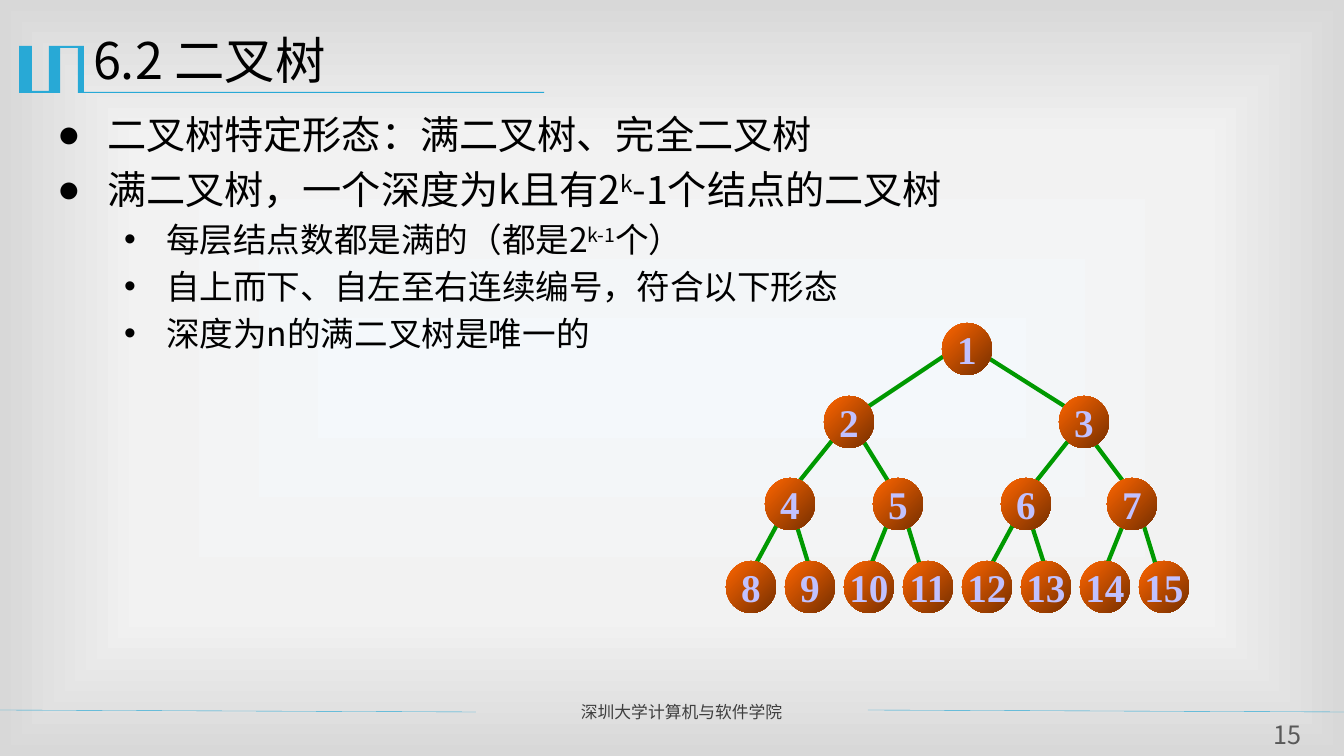
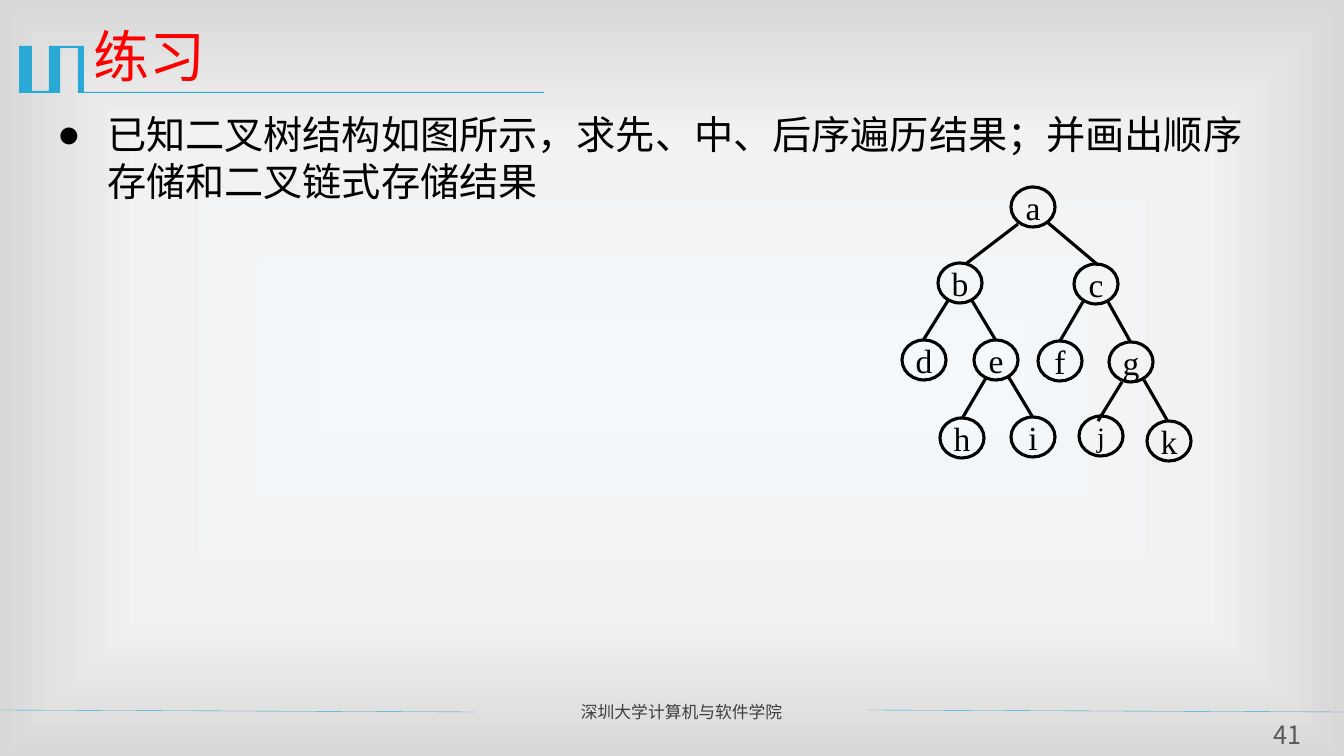
from lxml.etree import SubElement
from pptx import Presentation
from pptx.dml.color import RGBColor
from pptx.enum.shapes import MSO_CONNECTOR, MSO_SHAPE
from pptx.enum.text import MSO_ANCHOR, MSO_AUTO_SIZE, PP_ALIGN
from pptx.oxml import parse_xml
from pptx.oxml.ns import nsdecls, qn
from pptx.util import Pt

PX = 9071  # EMU in one px, 1344 px across the slide

BLACK = RGBColor(0x00, 0x00, 0x00)
RED = RGBColor(0xFF, 0x00, 0x00)
BLUE = RGBColor(0x28, 0xA9, 0xD6)
GREEN = RGBColor(0x00, 0x99, 0x00)
ORANGE = RGBColor(0xFF, 0x66, 0x00)
BROWN = RGBColor(0x76, 0x2F, 0x00)
LILAC = RGBColor(0xC1, 0xC1, 0xFF)
FOOTER_GREY = RGBColor(0x3F, 0x3F, 0x3F)
NUMBER_GREY = RGBColor(0x59, 0x59, 0x59)
PAGE_CENTRE = RGBColor(0xF4, 0xF8, 0xFB)
PAGE_MIDDLE = RGBColor(0xF2, 0xF2, 0xF2)
PAGE_EDGE = RGBColor(0xD8, 0xD8, 0xD8)

SANS = "Noto Sans CJK SC"
SERIF = "Times New Roman"


def add_run(para, text, size, color, name=SANS, bold=False, raised=False):
    run = para.add_run()
    run.text = text
    font = run.font
    font.size, font.bold, font.name = Pt(size), bold, name
    font.color.rgb = color
    properties = run._r.get_or_add_rPr()
    SubElement(properties, qn("a:ea")).set("typeface", name)
    if raised:
        properties.set("baseline", "30000")


def add_line(page, ends, color, width):
    line = page.shapes.add_connector(MSO_CONNECTOR.STRAIGHT, *[end * PX for end in ends])
    line.line.color.rgb = color
    line.line.width = Pt(width)
    SubElement(line._element.spPr, qn("a:effectLst"))
    return line


# Each list item: level, then (text, raised) runs
full_tree_items = [
    (0, [("二叉树特定形态：满二叉树、完全二叉树", False)]),
    (0, [("满二叉树，一个深度为k且有2", False), ("k", True), ("-1个结点的二叉树", False)]),
    (1, [("每层结点数都是满的（都是2", False), ("k-1", True), ("个）", False)]),
    (1, [("自上而下、自左至右连续编号，符合以下形态", False)]),
    (1, [("深度为n的满二叉树是唯一的", False)]),
]
exercise_items = [
    (0, [("已知二叉树结构如图所示，求先、中、后序遍历结果；并画出顺序存储和二叉链式存储结果", False)]),
]

# Each node: label, left, top
full_tree_nodes = [
    ("1", 942, 323),
    ("2", 824, 396), ("3", 1059, 396),
    ("4", 765, 478), ("5", 873, 478), ("6", 1001, 478), ("7", 1107, 478),
]
full_tree_nodes += [(str(8 + i), 726 + 59 * i, 561) for i in range(8)]
exercise_nodes = [
    ("a", 1011, 187),
    ("b", 938, 263), ("c", 1074, 264),
    ("d", 902, 340), ("e", 974, 340), ("f", 1038, 341), ("g", 1109, 342),
    ("h", 940, 418), ("i", 1011, 417), ("j", 1079, 416), ("k", 1147, 421),
]

# Each edge: x and y at the parent, x and y at the child
full_tree_edges = [
    (956, 348, 854, 416), (982, 354, 1080, 416),
    (835, 437, 785, 499), (854, 426, 893, 489),
    (1080, 426, 1030, 489), (1090, 437, 1129, 489),
    (785, 510, 746, 582), (795, 520, 814, 582),
    (893, 510, 864, 582), (903, 510, 922, 572),
    (1021, 510, 982, 582), (1030, 520, 1050, 582),
    (1129, 510, 1100, 582), (1139, 510, 1158, 572),
]
exercise_edges = [
    (1018, 224, 967, 263), (1047, 222, 1098, 265),
    (949, 299, 924, 339), (971, 299, 995, 339),
    (1084, 300, 1060, 341), (1107, 300, 1130, 341),
    (986, 378, 963, 417), (1008, 376, 1032, 416),
    (1122, 382, 1098, 421), (1144, 380, 1167, 420),
]

pages = [
    dict(title="6.2 二叉树", title_top=24, title_size=36, title_color=BLACK,
         number="15", items=full_tree_items, nodes=full_tree_nodes, edges=full_tree_edges,
         edge_color=GREEN, edge_width=3, node_size=(50, 52), filled=True,
         label_size=28, label_color=LILAC),
    dict(title="练习", title_top=16, title_size=40, title_color=RED,
         number="41", items=exercise_items, nodes=exercise_nodes, edges=exercise_edges,
         edge_color=BLACK, edge_width=2.25, node_size=(44, 40), filled=False,
         label_size=24, label_color=BLACK),
]

deck = Presentation()
deck.slide_width, deck.slide_height = 1344 * PX, 756 * PX
layout = deck.slide_layouts[1]
slides = [deck.slides.add_slide(layout) for _ in pages]

# Shared layout: background, title mark, footer
for holder in list(layout.placeholders):
    if holder.placeholder_format.idx >= 10:
        holder.element.getparent().remove(holder.element)

layout.background.fill.solid()
background = layout.element.find(".//" + qn("p:bgPr"))
background.replace(background.find(qn("a:solidFill")), parse_xml(
    f'<a:gradFill {nsdecls("a")} rotWithShape="1"><a:gsLst>'
    f'<a:gs pos="0"><a:srgbClr val="{PAGE_CENTRE}"/></a:gs>'
    f'<a:gs pos="63000"><a:srgbClr val="{PAGE_MIDDLE}"/></a:gs>'
    f'<a:gs pos="100000"><a:srgbClr val="{PAGE_EDGE}"/></a:gs></a:gsLst>'
    '<a:path path="rect"><a:fillToRect l="50000" t="50000" r="50000" b="50000"/></a:path>'
    '</a:gradFill>'))

first = slides[0]
outline = first.shapes.build_freeform(83, 46, scale=PX)
outline.add_line_segments([
    (84, 46), (84, 92), (544, 92), (544, 93), (78, 93), (78, 48), (60, 48), (60, 93),
    (19, 93), (19, 46), (32, 46), (32, 91), (49, 91), (49, 46),
])
mark = outline.convert_to_shape()
mark.shadow.inherit = False
mark.fill.solid()
mark.fill.fore_color.rgb = BLUE
mark.line.fill.background()

footer = first.shapes.add_textbox(571 * PX, 697 * PX, 287 * PX, 30 * PX)
footer.text_frame.word_wrap = True
add_run(footer.text_frame.paragraphs[0], "深圳大学计算机与软件学院", 12, FOOTER_GREY)

footer_lines = [add_line(first, (left, 710, left + 476, 712), BLUE, 0.25) for left in (0, 868)]
for shape in [mark, footer, *footer_lines]:
    layout.shapes.element.append(shape._element)

for slide, page in zip(slides, pages):
    title = slide.shapes.title
    title.left, title.top = 83 * PX, page["title_top"] * PX
    title.width, title.height = 1210 * PX, 88 * PX
    title.text_frame.auto_size = MSO_AUTO_SIZE.NONE
    title.text_frame.vertical_anchor = MSO_ANCHOR.TOP
    para = title.text_frame.paragraphs[0]
    para.alignment = PP_ALIGN.LEFT
    add_run(para, page["title"], page["title_size"], page["title_color"])

    body = slide.placeholders[1]
    body.left, body.top, body.width, body.height = 47 * PX, 105 * PX, 1223 * PX, 568 * PX
    frame = body.text_frame
    frame.auto_size = MSO_AUTO_SIZE.NONE
    for i, (level, runs) in enumerate(page["items"]):
        para = frame.add_paragraph() if i else frame.paragraphs[0]
        bullet, margin, hang, size = [("●", 50, 50, 28), ("•", 109, 42, 24)][level]
        properties = para._p.get_or_add_pPr()
        properties.set("marL", str(margin * PX))
        properties.set("indent", str(-hang * PX))
        SubElement(properties, qn("a:buChar")).set("char", bullet)
        para.level = level
        para.space_before = Pt(size * 0.2 if i else 0)
        for text, raised in runs:
            add_run(para, text, size, BLACK, raised=raised)

    number = slide.shapes.add_textbox(1258 * PX, 719 * PX, 59 * PX, 31 * PX)
    frame = number.text_frame
    frame.word_wrap = True
    frame.margin_left = frame.margin_top = frame.margin_right = frame.margin_bottom = 0
    frame.paragraphs[0].alignment = PP_ALIGN.CENTER
    add_run(frame.paragraphs[0], page["number"], 18, NUMBER_GREY)

    for edge in page["edges"]:
        add_line(slide, edge, page["edge_color"], page["edge_width"])

    width, height = page["node_size"]
    for label, left, top in page["nodes"]:
        node = slide.shapes.add_shape(
            MSO_SHAPE.OVAL, left * PX, top * PX, width * PX, height * PX)
        node.shadow.inherit = False
        if page["filled"]:
            node.fill.gradient()
            node.fill.gradient_angle = 315
            for stop, color in zip(node.fill.gradient_stops, (ORANGE, BROWN)):
                stop.color.rgb = color
            node.line.fill.background()
        else:
            node.fill.background()
            node.line.color.rgb = page["edge_color"]
            node.line.width = Pt(page["edge_width"])
        frame = node.text_frame
        frame.word_wrap = False
        frame.vertical_anchor = MSO_ANCHOR.MIDDLE
        para = frame.paragraphs[0]
        para.alignment = PP_ALIGN.CENTER
        label_size = 20 if label == "j" else page["label_size"]
        add_run(para, label, label_size, page["label_color"], SERIF, bold=page["filled"])

deck.save("out.pptx")
